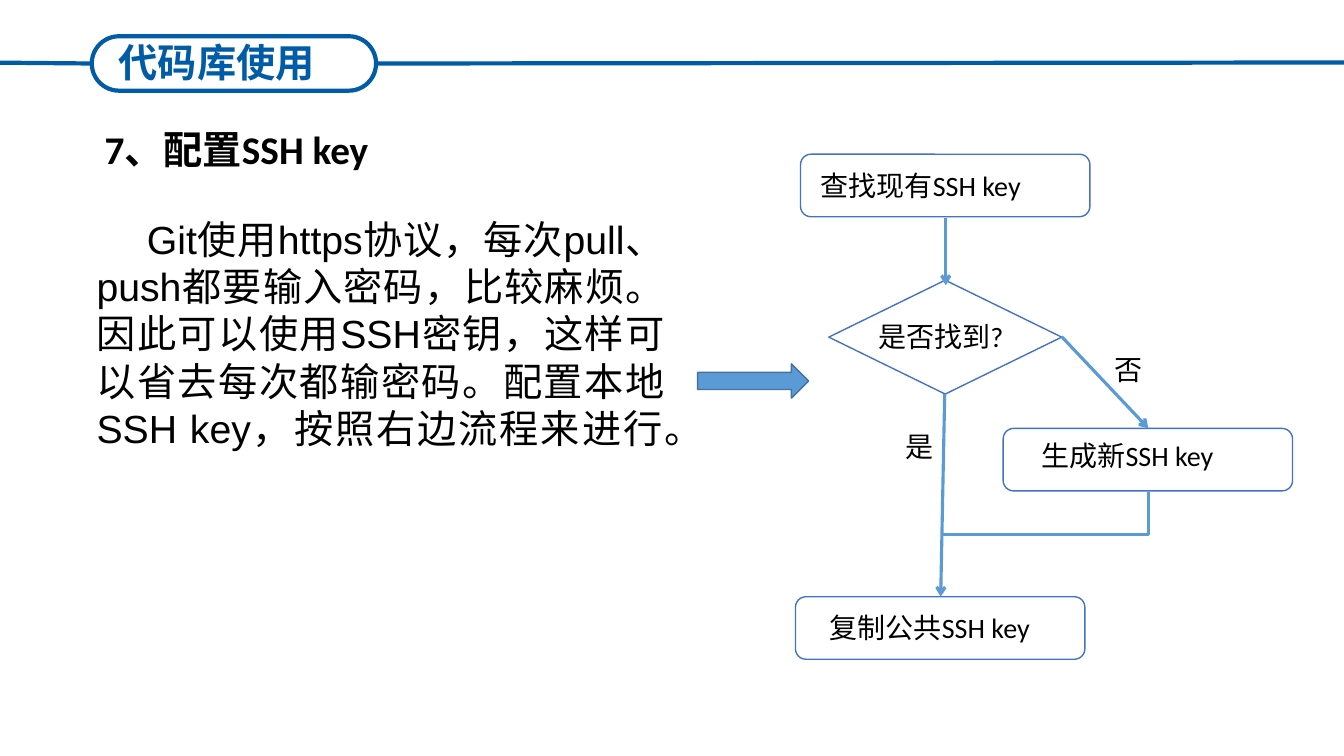
from lxml.etree import SubElement
from pptx import Presentation
from pptx.dml.color import RGBColor
from pptx.enum.shapes import MSO_CONNECTOR, MSO_SHAPE
from pptx.enum.text import PP_ALIGN
from pptx.oxml.ns import qn
from pptx.util import Inches, Pt

COLORS = {
    "ink": "000000",
    "paper": "FFFFFF",
    "brand": "005CA7",
    "outline": "4472C4",
    "flow": "5B9BD5",
    "arrow_edge": "43739E",
}
CJK_FONT = "Noto Sans CJK SC"
STEP_WIDTH, STEP_HEIGHT = 2.87, 0.62


def color(name):
    return RGBColor.from_string(COLORS[name])


def add_text(slide, box, text, size=20, font="Calibri", ink="ink", bold=False,
             align=PP_ALIGN.LEFT, indent=0):
    label = slide.shapes.add_textbox(*map(Inches, box))
    label.text_frame.word_wrap = True
    paragraph = label.text_frame.paragraphs[0]
    paragraph.alignment = align
    if indent:
        properties = paragraph._p.get_or_add_pPr()
        properties.set("marL", "0")
        properties.set("indent", str(Inches(indent)))
    run = paragraph.add_run()
    run.text = text
    run.font.size = Pt(size)
    run.font.bold = bold
    run.font.name = font
    run.font.color.rgb = color(ink)
    SubElement(run._r.get_or_add_rPr(), qn("a:ea"), typeface=CJK_FONT)


def add_box(slide, kind, box, fill="paper", line="outline", width=1):
    outline = slide.shapes.add_shape(kind, *map(Inches, box))
    outline.shadow.inherit = False
    if fill:
        outline.fill.solid()
        outline.fill.fore_color.rgb = color(fill)
    else:
        outline.fill.background()
    outline.line.color.rgb = color(line)
    outline.line.width = Pt(width)
    return outline


def add_line(slide, start, end, line="flow", width=2.25, arrow=False, bent=False):
    kind = MSO_CONNECTOR.ELBOW if bent else MSO_CONNECTOR.STRAIGHT
    link = slide.shapes.add_connector(kind, *map(Inches, (*start, *end)))
    link.line.color.rgb = color(line)
    link.line.width = Pt(width)
    properties = link._element.spPr
    if bent:
        properties.find(qn("a:prstGeom")).set("prst", "bentConnector2")
    if arrow:
        SubElement(properties.find(qn("a:ln")), qn("a:tailEnd"), type="arrow")
    SubElement(properties, qn("a:effectLst"))


def add_step(slide, left, top, text, text_left, text_top):
    add_box(slide, MSO_SHAPE.ROUNDED_RECTANGLE, (left, top, STEP_WIDTH, STEP_HEIGHT))
    add_text(slide, (text_left, text_top, 2.67, 0.49), text)


def add_header(slide):
    add_line(slide, (3.72, 0.63), (13.57, 0.62), line="brand", width=3)
    add_line(slide, (-0.21, 0.62), (0.91, 0.63), line="brand", width=3)
    badge = add_box(slide, MSO_SHAPE.ROUNDED_RECTANGLE, (0.91, 0.36, 2.82, 0.54),
                    fill=None, line="brand", width=3)
    badge.adjustments[0] = 0.5
    add_text(slide, (0.73, 0.33, 2.84, 0.57), "代码库使用", size=28, font=CJK_FONT,
             ink="brand", bold=True, align=PP_ALIGN.CENTER)


def add_explanation(slide):
    add_text(slide, (0.94, 1.19, 2.94, 0.57), "7、配置SSH key", size=28, bold=True)
    add_text(slide, (0.86, 2.09, 5.83, 3.33),
             "Git使用https协议，每次pull、push都要输入密码，比较麻烦。"
             "因此可以使用SSH密钥，这样可以省去每次都输密码。"
             "配置本地SSH key，按照右边流程来进行。",
             size=28, font="Arial", align=PP_ALIGN.JUSTIFY, indent=0.5)
    add_box(slide, MSO_SHAPE.RIGHT_ARROW, (6.92, 3.61, 1.1, 0.34),
            fill="flow", line="arrow_edge")


def add_flowchart(slide):
    add_step(slide, 7.94, 1.53, "查找现有SSH key", 8.04, 1.62)
    add_step(slide, 9.95, 4.25, "生成新SSH key", 10.23, 4.3)
    add_step(slide, 7.89, 5.92, "复制公共SSH key", 8.13, 6.01)
    add_box(slide, MSO_SHAPE.DIAMOND, (8.22, 2.78, 2.31, 1.13))
    add_text(slide, (8.61, 3.12, 1.69, 0.44), "是否找到?")
    for start, end in (
        ((9.38, 2.16), (9.38, 2.83)),
        ((9.37, 3.91), (9.33, 5.92)),
        ((10.53, 3.34), (11.39, 4.25)),
    ):
        add_line(slide, start, end, arrow=True)
    add_line(slide, (9.35, 5.3), (11.39, 4.88), bent=True)
    add_text(slide, (8.88, 4.21, 0.43, 0.49), "是")
    add_text(slide, (10.96, 3.45, 0.43, 0.49), "否")


def main():
    deck = Presentation()
    deck.slide_width, deck.slide_height = Inches(13.33), Inches(7.5)
    slide = deck.slides.add_slide(deck.slide_layouts[6])
    add_explanation(slide)
    add_flowchart(slide)
    add_header(slide)
    deck.save("out.pptx")


if __name__ == "__main__":
    main()
